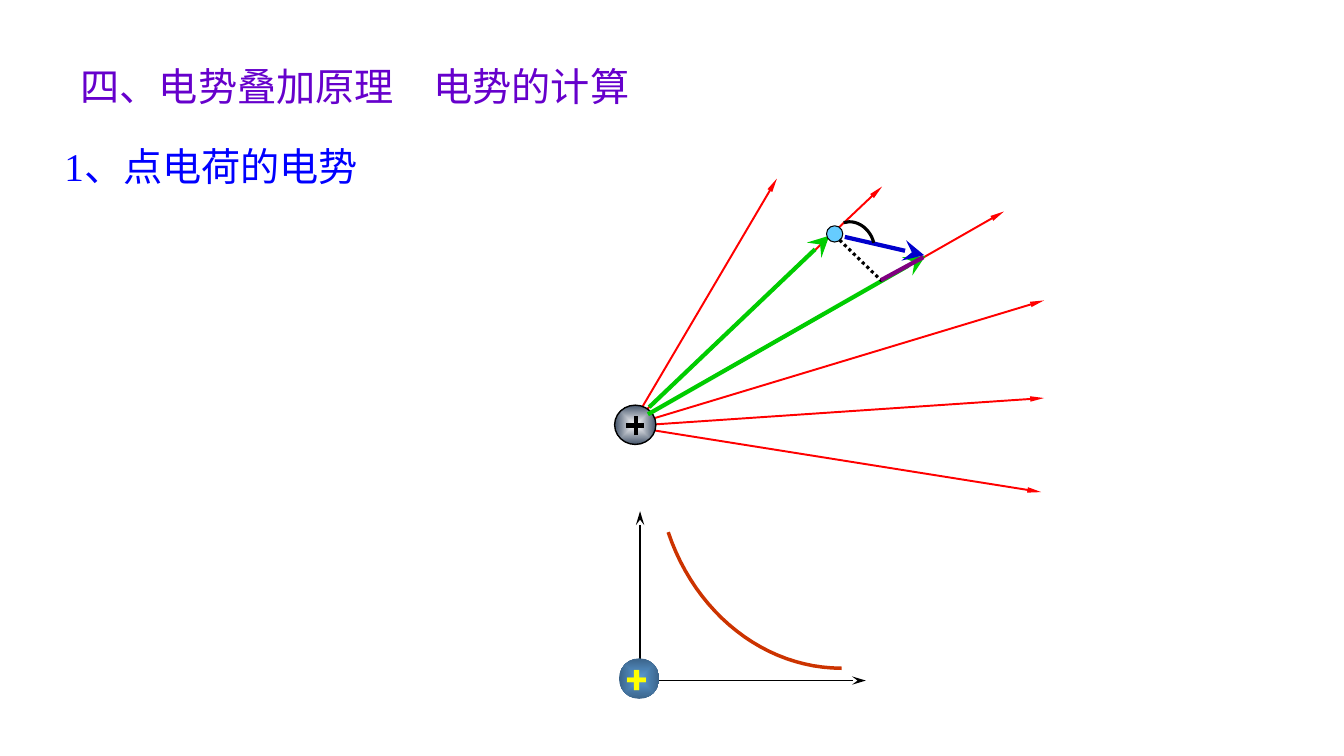
from dataclasses import dataclass

from lxml import etree
from pptx import Presentation
from pptx.dml.color import RGBColor
from pptx.enum.dml import MSO_LINE
from pptx.enum.shapes import MSO_CONNECTOR, MSO_SHAPE
from pptx.enum.text import MSO_ANCHOR, MSO_AUTO_SIZE, PP_ALIGN
from pptx.oxml.ns import qn
from pptx.shapes.autoshape import Shape
from pptx.slide import Slide
from pptx.text.text import TextFrame
from pptx.util import Cm, Pt

STRAIGHT = MSO_CONNECTOR.STRAIGHT
OVAL = MSO_SHAPE.OVAL
DOTTED = MSO_LINE.ROUND_DOT
LEFT = PP_ALIGN.LEFT
TOP = MSO_ANCHOR.TOP
GROW = MSO_AUTO_SIZE.SHAPE_TO_FIT_TEXT

Point = tuple[float, float]


@dataclass(frozen=True)
class Theme:
    title: str = "6600CC"
    subtitle: str = "0000FF"
    ink: str = "000000"
    ray: str = "FF0000"
    radius: str = "00CC00"
    step: str = "0000CC"
    increment: str = "800080"
    point: str = "66CCFF"
    curve: str = "CC3300"
    plus: str = "FFFF00"
    charge: tuple[str, str] = ("FFFFFF", "44546A")
    ball: tuple[str, str] = ("5B9BD5", "3B648A")
    text_size: float = 28
    text_font: str = "Times New Roman"
    plus_font: str = "Roboto Slab"


@dataclass(frozen=True)
class Arrowhead:
    kind: str
    width: str
    length: str


@dataclass(frozen=True)
class Segment:
    start: Point
    end: Point
    color: str
    weight: float
    head: Arrowhead | None = None
    dotted: bool = False


@dataclass(frozen=True)
class Disc:
    left: float
    top: float
    width: float
    height: float
    fill: str | tuple[str, str]
    outline: float = 0


THEME = Theme()
RAY_HEAD = Arrowhead("triangle", "sm", "lg")
VECTOR_HEAD = Arrowhead("stealth", "lg", "lg")
AXIS_HEAD = Arrowhead("stealth", "med", "lg")

RAYS = [
    Segment(start, end, THEME.ray, 1.4, RAY_HEAD)
    for start, end in [
        ((16.03, 10.57), (22.23, 4.7)),
        ((15.82, 10.74), (25.3, 5.33)),
        ((15.82, 10.74), (26.31, 7.57)),
        ((15.82, 10.74), (26.24, 12.4)),
        ((15.82, 10.74), (26.31, 10.03)),
        ((15.9, 10.74), (19.58, 4.5)),
    ]
]
CHARGE = Disc(15.49, 10.21, 1.04, 0.99, THEME.charge, 1)
CHARGE_SIGN = [
    Segment((15.77, 10.72), (16.23, 10.72), THEME.ink, 3),
    Segment((16.03, 10.97), (16.03, 10.49), THEME.ink, 3),
]
RADII = [
    Segment((16.36, 10.26), (20.9, 5.94), THEME.radius, 3, VECTOR_HEAD),
    Segment((16.33, 10.44), (23.32, 6.45), THEME.radius, 3, VECTOR_HEAD),
]
FIELD_POINT = Disc(20.83, 5.69, 0.41, 0.41, THEME.point, 0.75)
STEP = Segment((21.29, 5.97), (23.29, 6.43), THEME.step, 3, VECTOR_HEAD)
ANGLE_ARC = [(21.26, 5.61), (21.31, 5.61), (21.36, 5.59), (21.41, 5.59),
             (21.69, 5.59), (21.95, 5.82), (22.02, 6.12)]
PROJECTION = [
    Segment((21.16, 6.05), (22.23, 7.09), THEME.ink, 2.25, dotted=True),
    Segment((22.2, 7.06), (23.27, 6.48), THEME.increment, 3),
]
AXES = [
    Segment((16.13, 17.6), (16.13, 12.88), THEME.ink, 2, AXIS_HEAD),
    Segment((16.13, 17.15), (21.82, 17.15), THEME.ink, 1, AXIS_HEAD),
]
ORIGIN_BALL = Disc(15.6, 16.59, 1.02, 1.02, THEME.ball)
POTENTIAL_CURVE = [(21.21, 16.84), (19.28, 16.84), (17.53, 15.47), (16.84, 13.41)]


def rgb(color: str) -> RGBColor:
    return RGBColor.from_string(color)


def place(shape: Shape, left: float, top: float, width: float, height: float) -> None:
    shape.left, shape.top = Cm(left), Cm(top)
    shape.width, shape.height = Cm(width), Cm(height)


def write(frame: TextFrame, text: str, color: str, font: str, wrap: bool = True,
          bold: bool = False, tab: float | None = None) -> None:
    """Fill the frame with one left-aligned line without bullet; tab is in cm."""
    frame.text = text
    frame.word_wrap = wrap
    frame.auto_size = GROW
    frame.vertical_anchor = TOP
    paragraph = frame.paragraphs[0]
    paragraph.alignment = LEFT
    paragraph.space_before = Pt(0)
    properties = paragraph._p.get_or_add_pPr()
    properties.set("marL", "0")
    properties.set("indent", "0")
    etree.SubElement(properties, qn("a:buNone"))
    if tab is not None:
        stops = etree.SubElement(properties, qn("a:tabLst"))
        etree.SubElement(stops, qn("a:tab"), pos=str(Cm(tab)), algn="l")
    paragraph.font.name = font
    paragraph.font.size = Pt(THEME.text_size)
    paragraph.font.bold = bold
    paragraph.font.color.rgb = rgb(color)


def draw_segment(slide: Slide, segment: Segment) -> None:
    ends = [Cm(value) for value in (*segment.start, *segment.end)]
    connector = slide.shapes.add_connector(STRAIGHT, *ends)
    connector.line.color.rgb = rgb(segment.color)
    connector.line.width = Pt(segment.weight)
    if segment.dotted:
        connector.line.dash_style = DOTTED
    if segment.head:
        etree.SubElement(connector.line._get_or_add_ln(), qn("a:tailEnd"),
                         type=segment.head.kind, w=segment.head.width,
                         len=segment.head.length)
    etree.SubElement(connector._element.spPr, qn("a:effectLst"))


def fill_radially(shape: Shape, colors: tuple[str, str]) -> None:
    """Blend from the first colour in the centre to the second at the rim."""
    shape.fill.gradient()
    for stop, color in zip(shape.fill.gradient_stops, colors):
        stop.color.rgb = rgb(color)
    gradient = shape._element.spPr.find(qn("a:gradFill"))
    gradient.remove(gradient.find(qn("a:lin")))
    blend = etree.SubElement(gradient, qn("a:path"), {"path": "shape"})
    etree.SubElement(blend, qn("a:fillToRect"), dict.fromkeys("ltrb", "50000"))


def draw_disc(slide: Slide, disc: Disc) -> None:
    box = [Cm(value) for value in (disc.left, disc.top, disc.width, disc.height)]
    shape = slide.shapes.add_shape(OVAL, *box)
    shape.shadow.inherit = False
    if isinstance(disc.fill, tuple):
        fill_radially(shape, disc.fill)
    else:
        shape.fill.solid()
        shape.fill.fore_color.rgb = rgb(disc.fill)
    if disc.outline:
        shape.line.color.rgb = rgb(THEME.ink)
        shape.line.width = Pt(disc.outline)
    else:
        shape.line.fill.background()


def bezier_point(controls: list[Point], t: float) -> Point:
    weights = ((1 - t) ** 3, 3 * t * (1 - t) ** 2, 3 * t * t * (1 - t), t ** 3)
    x, y = (sum(w * c for w, c in zip(weights, axis)) for axis in zip(*controls))
    return Cm(x), Cm(y)


def draw_curve(slide: Slide, controls: list[Point], color: str, weight: float,
               steps: int = 24) -> None:
    """Draw chained cubic Bézier pieces as one open outline."""
    points = [bezier_point(controls[first:first + 4], step / steps)
              for first in range(0, len(controls) - 1, 3)
              for step in range(steps + 1)]
    builder = slide.shapes.build_freeform(*points[0])
    builder.add_line_segments(points[1:], close=False)
    shape = builder.convert_to_shape()
    shape.shadow.inherit = False
    shape.fill.background()
    shape.line.color.rgb = rgb(color)
    shape.line.width = Pt(weight)


def main() -> None:
    presentation = Presentation()
    presentation.slide_width, presentation.slide_height = Cm(33.87), Cm(19.05)
    slide = presentation.slides.add_slide(presentation.slide_layouts[1])
    title, subtitle = slide.placeholders
    place(title, 1.78, 1.45, 16.51, 1.45)
    write(title.text_frame, "四、电势叠加原理\t电势的计算", THEME.title, THEME.text_font, tab=8.4)
    place(subtitle, 1.37, 3.45, 9.98, 1.45)
    write(subtitle.text_frame, "1、点电荷的电势", THEME.subtitle, THEME.text_font)

    for ray in RAYS:
        draw_segment(slide, ray)
    draw_disc(slide, CHARGE)
    for segment in CHARGE_SIGN + RADII:
        draw_segment(slide, segment)
    draw_disc(slide, FIELD_POINT)
    draw_segment(slide, STEP)
    draw_curve(slide, ANGLE_ARC, THEME.ink, 2.25)
    for segment in PROJECTION + AXES:
        draw_segment(slide, segment)
    draw_disc(slide, ORIGIN_BALL)
    plus = slide.shapes.add_textbox(Cm(15.54), Cm(16.36), Cm(1.09), Cm(1.45))
    write(plus.text_frame, "+", THEME.plus, THEME.plus_font, wrap=False, bold=True)
    draw_curve(slide, POTENTIAL_CURVE, THEME.curve, 2.5)
    presentation.save("out.pptx")


if __name__ == "__main__":
    main()
